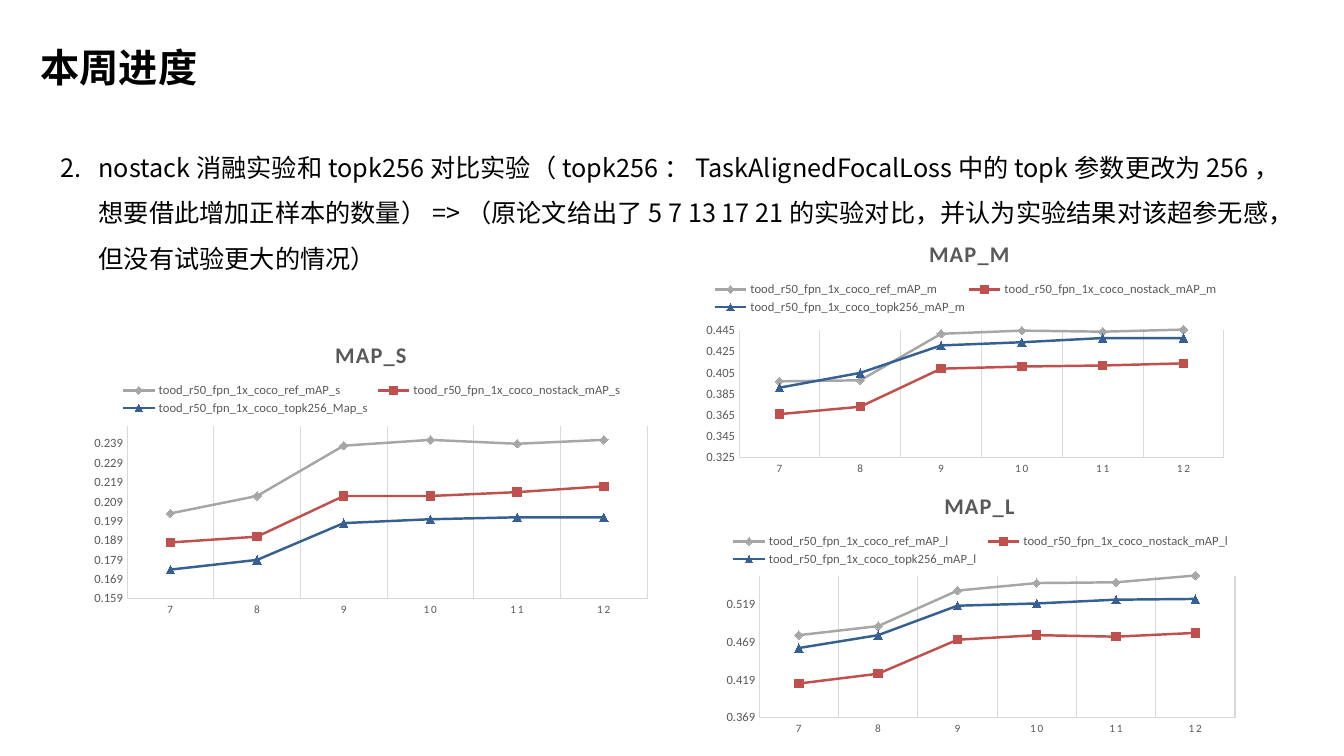
import pptx
import pptx.chart.data
import pptx.dml.color
import pptx.enum.chart
import pptx.enum.text
import pptx.oxml
import pptx.oxml.ns
import pptx.util

EMU_PER_PX = 9144
TEXT_FONT = "Noto Sans CJK SC"
CHART_FONT = "Calibri"
GREY_TEXT = "595959"
GREY_LINE = "D9D9D9"
EPOCHS = ["7", "8", "9", "10", "11", "12"]
MARKERS = pptx.enum.chart.XL_MARKER_STYLE
SERIES_STYLES = [
    ("A6A6A6", MARKERS.DIAMOND),
    ("C0504D", MARKERS.SQUARE),
    ("376092", MARKERS.TRIANGLE),
]
CHARTS = [
    {
        "title": "MAP_S", "box": (83, 317, 571, 300), "plot": (126, 423, 516, 171),
        "range": (0.159, 0.248, 0.01),
        "series": {
            "ref_mAP_s": (0.203, 0.212, 0.238, 0.241, 0.239, 0.241),
            "nostack_mAP_s": (0.188, 0.191, 0.212, 0.212, 0.214, 0.217),
            "topk256_Map_s": (0.174, 0.179, 0.198, 0.2, 0.201, 0.201),
        },
    },
    {
        "title": "MAP_M", "box": (690, 217, 535, 261), "plot": (733, 327, 481, 127),
        "range": (0.325, 0.446, 0.02),
        "series": {
            "ref_mAP_m": (0.397, 0.398, 0.442, 0.445, 0.444, 0.446),
            "nostack_mAP_m": (0.366, 0.373, 0.409, 0.411, 0.412, 0.414),
            "topk256_mAP_m": (0.391, 0.405, 0.431, 0.434, 0.438, 0.438),
        },
    },
    {
        "title": "MAP_L", "box": (710, 467, 525, 269), "plot": (753, 571, 472, 141),
        "range": (0.369, 0.557, 0.05),
        "series": {
            "ref_mAP_l": (0.478, 0.49, 0.537, 0.547, 0.548, 0.557),
            "nostack_mAP_l": (0.414, 0.427, 0.472, 0.478, 0.476, 0.481),
            "topk256_mAP_l": (0.461, 0.478, 0.517, 0.52, 0.525, 0.526),
        },
    },
]


def px(length):
    """Turn pixels into EMU."""
    return pptx.util.Emu(length * EMU_PER_PX)


def color(hex_string):
    """Turn a hex string into a colour."""
    return pptx.dml.color.RGBColor.from_string(hex_string)


def style_font(font, name, size, hex_string, bold=False):
    """Set the face, size, colour and weight of a font."""
    font.name = name
    font.size = pptx.util.Pt(size)
    font.bold = bold
    font.color.rgb = color(hex_string)


def style_line(line, hex_string, width):
    """Set the colour and width of a line."""
    line.color.rgb = color(hex_string)
    line.width = pptx.util.Pt(width)


def add_text(slide, box, text, size, bold=False, wrap=True):
    """Add a one-paragraph text box and return its paragraph."""
    frame = slide.shapes.add_textbox(*map(px, box)).text_frame
    frame.word_wrap = wrap
    paragraph = frame.paragraphs[0]
    paragraph.line_spacing = 1.5
    run = paragraph.add_run()
    run.text = text
    style_font(run.font, TEXT_FONT, size, "000000", bold)
    east_asian = run.font._element.makeelement(
        pptx.oxml.ns.qn("a:ea"), {"typeface": TEXT_FONT})
    run.font._element.append(east_asian)
    return paragraph


def add_heading(slide, box):
    """Add the slide heading."""
    paragraph = add_text(slide, box, "本周进度", 28, bold=True, wrap=False)
    paragraph.alignment = pptx.enum.text.PP_ALIGN.CENTER


def add_numbered_point(slide, box):
    """Add the point numbered 2 with a hanging indent."""
    text = ("nostack消融实验和topk256对比实验（topk256：TaskAlignedFocalLoss中的topk参数更改为256，"
            "想要借此增加正样本的数量）=>（原论文给出了5 7 13 17 21的实验对比，"
            "并认为实验结果对该超参无感，但没有试验更大的情况）")
    paragraph = add_text(slide, box, text, 18)
    properties = paragraph._p.get_or_add_pPr()
    properties.set("marL", str(px(38)))
    properties.set("indent", str(px(-38)))
    properties.append(properties.makeelement(
        pptx.oxml.ns.qn("a:buAutoNum"), {"type": "arabicPeriod", "startAt": "2"}))


def place_part(part, index, box, x, y, width=None, height=None, inner=False):
    """Place a chart part at an offset inside the chart box."""
    for old_layout in part.findall(pptx.oxml.ns.qn("c:layout")):
        part.remove(old_layout)
    settings = [("xMode", "edge"), ("yMode", "edge"),
                ("x", round(x / box[2], 4)), ("y", round(y / box[3], 4))]
    if inner:
        settings.insert(0, ("layoutTarget", "inner"))
    if width:
        settings += [("w", round(width / box[2], 4)), ("h", round(height / box[3], 4))]
    children = "".join(f'<c:{tag} val="{value}"/>' for tag, value in settings)
    part.insert(index, pptx.oxml.parse_xml(
        f'<c:layout {pptx.oxml.ns.nsdecls("c")}>'
        f"<c:manualLayout>{children}</c:manualLayout></c:layout>"))


def style_axis(axis, size):
    """Set the look that both axes share."""
    style_font(axis.tick_labels.font, CHART_FONT, size, GREY_TEXT)
    style_line(axis.format.line, GREY_LINE, 0.75)
    axis.major_tick_mark = axis.minor_tick_mark = pptx.enum.chart.XL_TICK_MARK.NONE


def style_axes(chart, value_range):
    """Set the scale, grid and labels of the axes."""
    categories, values = chart.category_axis, chart.value_axis
    style_axis(categories, 8)
    style_axis(values, 9)
    categories.tick_labels.font._element.set("spc", "120")
    categories.has_major_gridlines = True
    style_line(categories.major_gridlines.format.line, GREY_LINE, 0.75)
    values.has_major_gridlines = False
    values.minimum_scale, values.maximum_scale, values.major_unit = value_range


def style_series(chart):
    """Give each series its line and marker."""
    plot = chart.plots[0]
    plot.vary_by_categories = False
    for series, (hex_string, marker_style) in zip(plot.series, SERIES_STYLES):
        series.smooth = False
        style_line(series.format.line, hex_string, 1.75)
        series.marker.style = marker_style
        series.marker.size = 6
        series.marker.format.fill.solid()
        series.marker.format.fill.fore_color.rgb = color(hex_string)
        style_line(series.marker.format.line, hex_string, 0.75)


def add_title_and_legend(chart, title):
    """Add the chart title and the legend above the plot."""
    chart.has_title = True
    run = chart.chart_title.text_frame.paragraphs[0].add_run()
    run.text = title
    style_font(run.font, CHART_FONT, 16, GREY_TEXT, bold=True)
    run.font._element.set("spc", "100")
    chart.has_legend = True
    chart.legend.position = pptx.enum.chart.XL_LEGEND_POSITION.TOP
    chart.legend.include_in_layout = False
    style_font(chart.legend.font, CHART_FONT, 9, GREY_TEXT)


def add_line_chart(slide, content):
    """Add one line chart in its box."""
    box, plot = content["box"], content["plot"]
    data = pptx.chart.data.CategoryChartData()
    data.categories = EPOCHS
    for name, values in content["series"].items():
        data.add_series(f"tood_r50_fpn_1x_coco_{name}", values)
    chart = slide.shapes.add_chart(
        pptx.enum.chart.XL_CHART_TYPE.LINE_MARKERS, *map(px, box), data).chart
    style_font(chart.font, CHART_FONT, 10, "000000")
    style_axes(chart, content["range"])
    style_series(chart)
    add_title_and_legend(chart, content["title"])
    title, legend, area = [chart.element.xpath(f"c:chart/c:{tag}")[0]
                           for tag in ("title", "legend", "plotArea")]
    place_part(title, 1, box, box[2] / 2 - 40, 16)
    place_part(legend, 1, box, (box[2] - 505) / 2, 60, 505, 38)
    place_part(area, 0, box, plot[0] - box[0], plot[1] - box[1], *plot[2:], inner=True)


def main():
    """Build the progress slide and save it."""
    presentation = pptx.Presentation()
    presentation.slide_width, presentation.slide_height = px(1333), px(750)
    slide = presentation.slides.add_slide(presentation.slide_layouts[6])
    add_heading(slide, (29, 15, 178, 72))
    add_numbered_point(slide, (50, 131, 1233, 188))
    for content in CHARTS:
        add_line_chart(slide, content)
    presentation.save("out.pptx")


if __name__ == "__main__":
    main()
